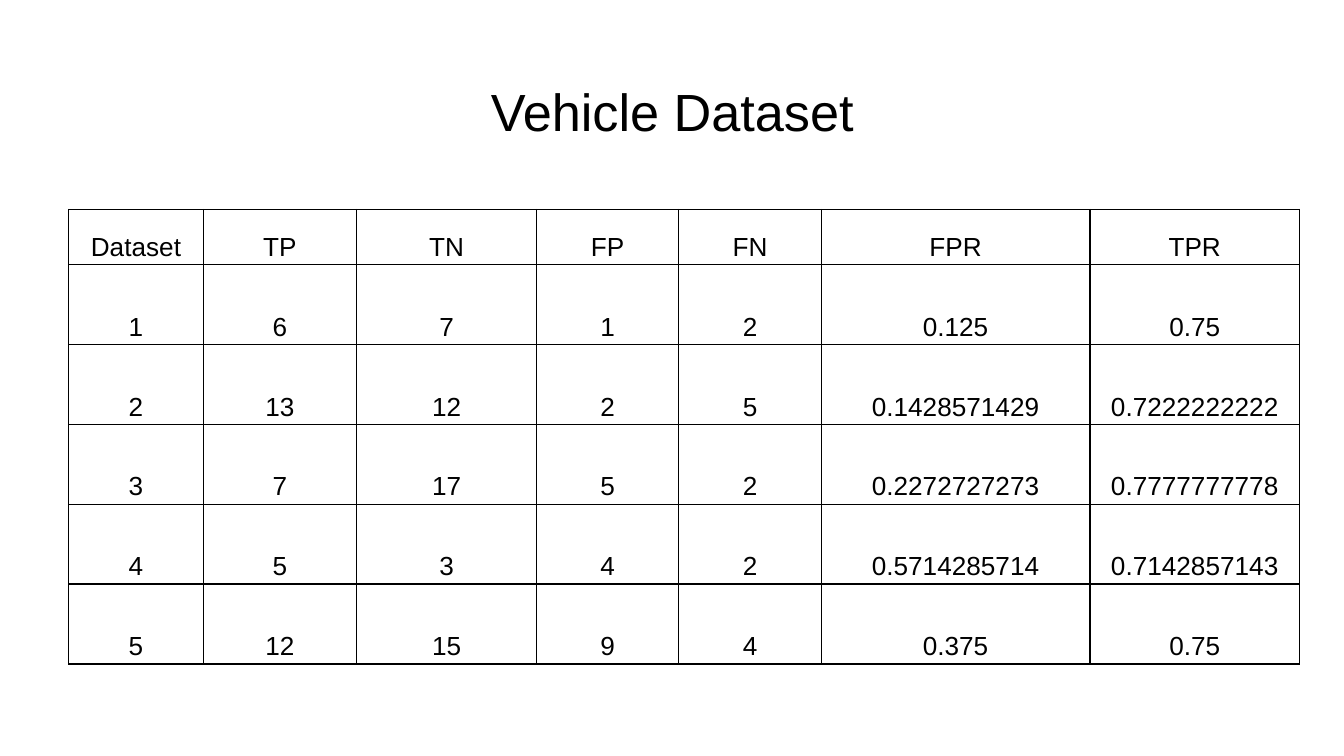
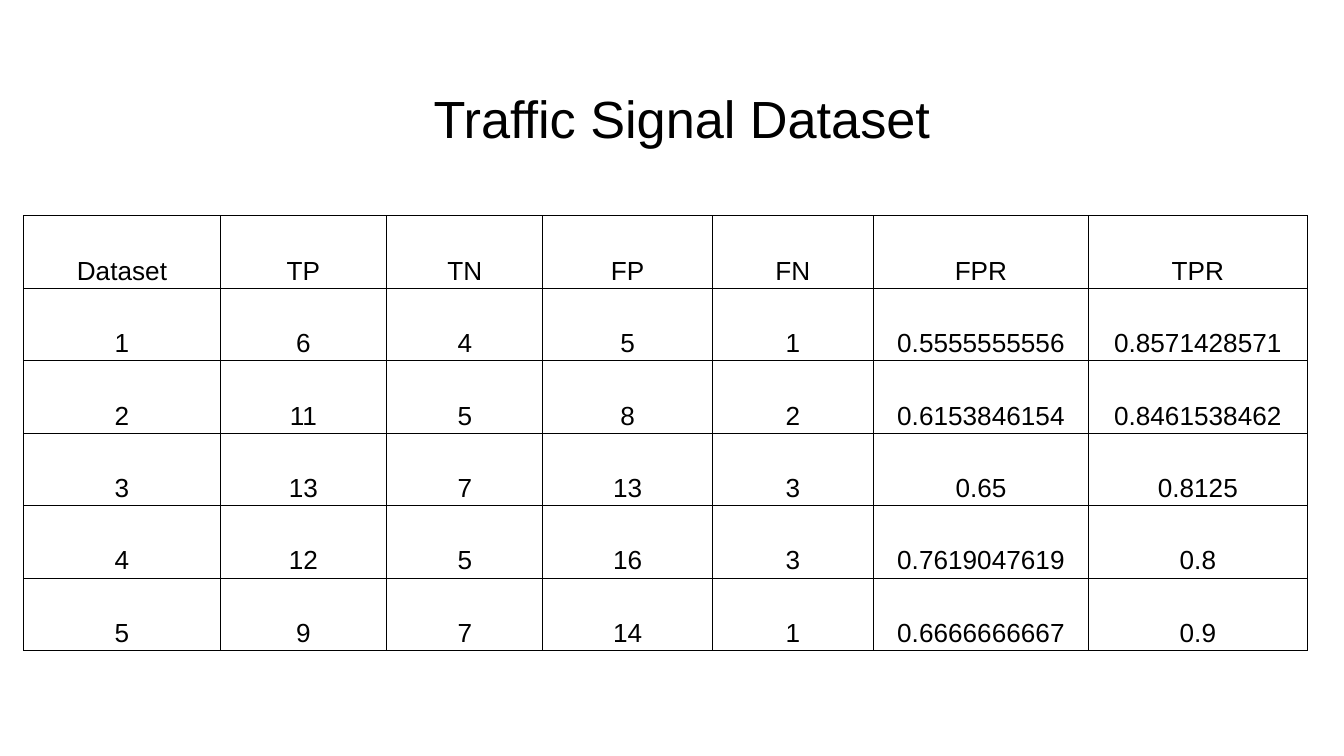
"""Builds two slides that tabulate detection results per dataset."""
import dataclasses

import lxml.etree
import pptx
import pptx.dml.color
import pptx.enum.text
import pptx.oxml.ns
import pptx.util

Cm = pptx.util.Cm
Pt = pptx.util.Pt


@dataclasses.dataclass(frozen=True)
class Theme:
    """Colours, type and line sizes shared by the slides."""
    font: str = "Arial"
    ink: str = "000000"
    paper: str = "FFFFFF"
    title_size: float = 28
    cell_size: float = 14
    cell_spacing: float = 1.15
    border_width: float = 0.75


THEME = Theme()
HEADINGS = ("Dataset", "TP", "TN", "FP", "FN", "FPR", "TPR")
VEHICLE_COUNTS = ((6, 7, 1, 2), (13, 12, 2, 5), (7, 17, 5, 2),
                  (5, 3, 4, 2), (12, 15, 9, 4))
SIGNAL_COUNTS = ((6, 4, 5, 1), (11, 5, 8, 2), (13, 7, 13, 3),
                 (12, 5, 16, 3), (9, 7, 14, 1))


def write_text(frame, text, size, spacing=1.0):
    """Write one centred paragraph into a text frame."""
    para = frame.paragraphs[0]
    para.alignment = pptx.enum.text.PP_ALIGN.CENTER
    para.line_spacing = spacing
    span = para.add_run()
    span.text = text
    span.font.name = THEME.font
    span.font.size = Pt(size)
    span.font.color.rgb = pptx.dml.color.RGBColor.from_string(THEME.ink)


def add_title(page, text, left, top):
    """Add the slide title."""
    box = page.shapes.add_textbox(Cm(left), Cm(top), Cm(23.67), Cm(1.6))
    frame = box.text_frame
    frame.word_wrap = True
    frame.margin_left = frame.margin_right = Cm(0.25)
    frame.margin_top = frame.margin_bottom = Cm(0.25)
    write_text(frame, text, THEME.title_size)


def add_borders(cell):
    """Draw a thin line on all four sides of a cell."""
    qualify = pptx.oxml.ns.qn
    properties = cell._tc.get_or_add_tcPr()
    for side in ("a:lnL", "a:lnR", "a:lnT", "a:lnB"):
        line = lxml.etree.SubElement(properties, qualify(side),
                                     w=str(Pt(THEME.border_width)))
        fill = lxml.etree.SubElement(line, qualify("a:solidFill"))
        lxml.etree.SubElement(fill, qualify("a:srgbClr"), val=THEME.ink)


def format_cell(cell, text):
    """Fill one table cell with bottom-aligned text."""
    cell.margin_left = cell.margin_right = Cm(0.08)
    cell.margin_top = cell.margin_bottom = Cm(0.05)
    cell.vertical_anchor = pptx.enum.text.MSO_ANCHOR.BOTTOM
    add_borders(cell)
    cell.fill.background()
    write_text(cell.text_frame, text, THEME.cell_size, THEME.cell_spacing)


def result_rows(counts):
    """Return the headings and the counts with their rates as text."""
    rows = [HEADINGS]
    for number, (tp, tn, fp, fn) in enumerate(counts, start=1):
        values = (number, tp, tn, fp, fn, fp / (fp + tn), tp / (tp + fn))
        rows.append([f"{value:.10g}" for value in values])
    return rows


def add_results(page, counts, left, top, widths, heights):
    """Add the table of counts and rates."""
    rows = result_rows(counts)
    table = page.shapes.add_table(
        len(rows), len(HEADINGS), Cm(left), Cm(top),
        Cm(sum(widths)), Cm(sum(heights))).table
    table.first_row = table.horz_banding = False
    for column, width in zip(table.columns, widths):
        column.width = Cm(width)
    for row, height, texts in zip(table.rows, heights, rows):
        row.height = Cm(height)
        for cell, text in zip(row.cells, texts):
            format_cell(cell, text)


def add_page(deck):
    """Add a blank slide with the shared background."""
    page = deck.slides.add_slide(deck.slide_layouts[6])
    fill = page.background.fill
    fill.solid()
    fill.fore_color.rgb = pptx.dml.color.RGBColor.from_string(THEME.paper)
    return page


def main():
    """Build and save the deck."""
    deck = pptx.Presentation()
    deck.slide_width, deck.slide_height = Cm(25.4), Cm(14.29)

    page = add_page(deck)
    add_title(page, "Vehicle Dataset", left=0.87, top=1.24)
    add_results(page, VEHICLE_COUNTS, left=1.3, top=3.96,
                widths=(2.54, 2.9, 3.4, 2.69, 2.69, 5.08, 3.96),
                heights=[1.04] + [1.51] * 5)

    page = add_page(deck)
    add_title(page, "Traffic Signal Dataset", left=1.05, top=1.38)
    add_results(page, SIGNAL_COUNTS, left=0.45, top=4.08,
                widths=(3.71, 3.15, 2.95, 3.2, 3.05, 4.06, 4.14),
                heights=[1.37] * 6)

    deck.save("out.pptx")


if __name__ == "__main__":
    main()
